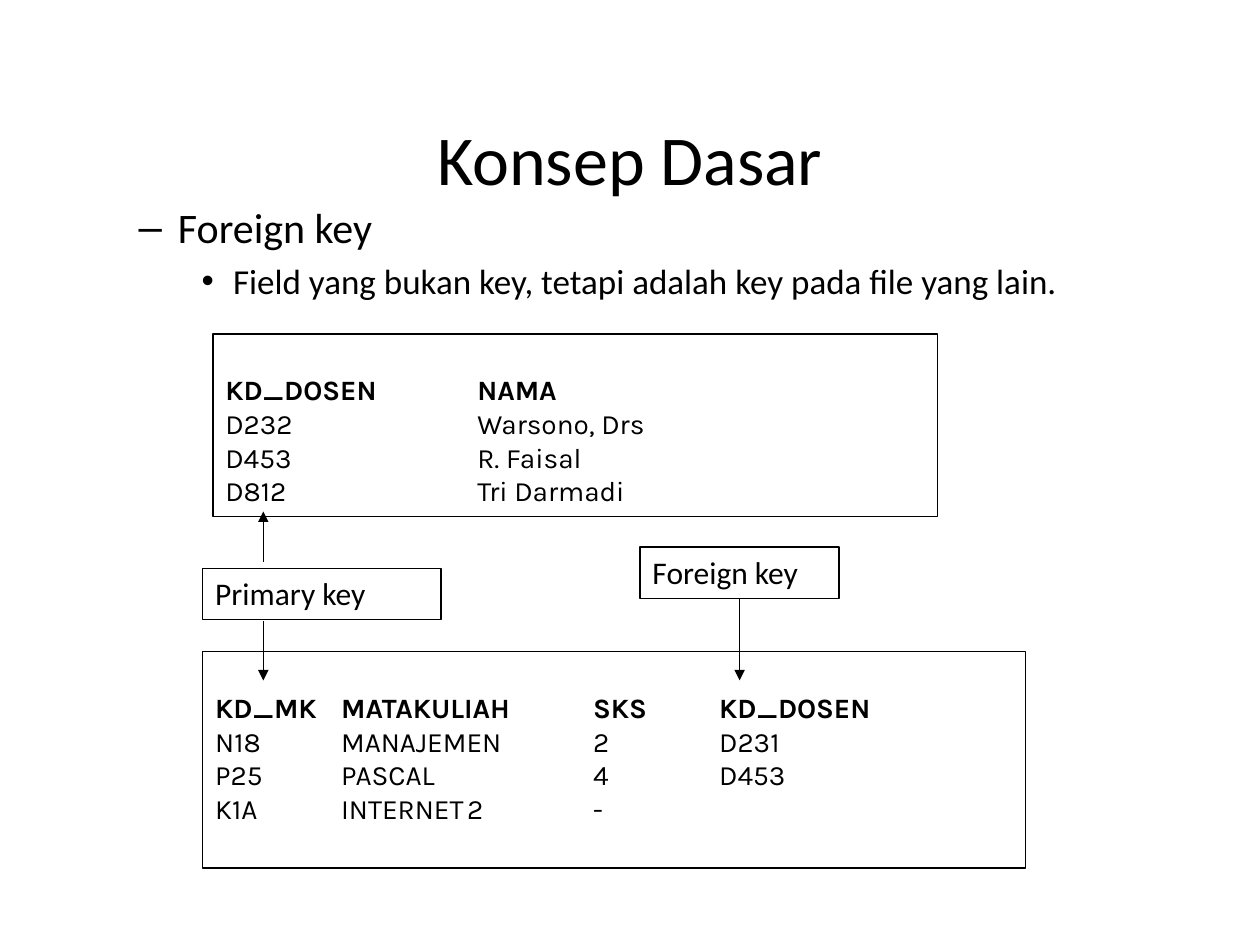
"""Builds the foreign key slide of a database lesson."""
import dataclasses

import lxml.etree
import pptx
import pptx.dml.color
import pptx.enum.shapes
import pptx.enum.text
import pptx.oxml.ns
import pptx.util

Inches = pptx.util.Inches
qn = pptx.oxml.ns.qn


@dataclasses.dataclass(frozen=True)
class Theme:
    """Colours, fonts and sizes of the slide."""
    ink: str = "000000"
    paper: str = "FFFFFF"
    text_font: str = "Calibri"
    record_font: str = "Karla"
    title_size: int = 40
    topic_size: int = 24
    detail_size: int = 20
    label_size: int = 18
    record_size: int = 16
    line_width: float = 0.75


THEME = Theme()


def color(value):
    """Turn a hex string into a colour."""
    return pptx.dml.color.RGBColor.from_string(value)


def write(para, text, size, font=THEME.text_font, bold=False, level=0, align=None, tabs=()):
    """Put formatted text into a paragraph with tab stops in inches."""
    para.level = level
    para.alignment = align
    if tabs:
        stops = lxml.etree.SubElement(para._p.get_or_add_pPr(), qn("a:tabLst"))
        for stop in tabs:
            lxml.etree.SubElement(stops, qn("a:tab"), pos=str(Inches(stop)), algn="l")
    span = para.add_run()
    span.text = text
    span.font.size = pptx.util.Pt(size)
    span.font.name = font
    span.font.bold = bold
    span.font.color.rgb = color(THEME.ink)


class Page:
    """Holds the theme and the current slide."""

    def __init__(self, deck, theme):
        """Add a title and content slide to the deck."""
        self.theme = theme
        self.slide = deck.slides.add_slide(deck.slide_layouts[1])

    def place(self, holder, left, top, width, height):
        """Move a placeholder."""
        holder.left, holder.top = Inches(left), Inches(top)
        holder.width, holder.height = Inches(width), Inches(height)
        return holder.text_frame

    def title(self, text, *area):
        """Fill the title placeholder."""
        frame = self.place(self.slide.shapes.title, *area)
        frame.vertical_anchor = pptx.enum.text.MSO_ANCHOR.MIDDLE
        write(frame.paragraphs[0], text, self.theme.title_size,
              align=pptx.enum.text.PP_ALIGN.CENTER)

    def body(self, topic, detail, *area):
        """Fill the body placeholder with a topic and its detail."""
        frame = self.place(self.slide.placeholders[1], *area)
        write(frame.paragraphs[0], topic, self.theme.topic_size, level=1)
        write(frame.add_paragraph(), detail, self.theme.detail_size, level=2)

    def box(self, left, top, width, height, filled=False):
        """Add an outlined rectangle with top left text."""
        box = self.slide.shapes.add_shape(
            pptx.enum.shapes.MSO_SHAPE.RECTANGLE,
            Inches(left), Inches(top), Inches(width), Inches(height))
        box.shadow.inherit = False
        if filled:
            box.fill.solid()
            box.fill.fore_color.rgb = color(self.theme.paper)
        else:
            box.fill.background()
        box.line.color.rgb = color(self.theme.ink)
        box.line.width = pptx.util.Pt(self.theme.line_width)
        box.text_frame.word_wrap = True
        box.text_frame.vertical_anchor = pptx.enum.text.MSO_ANCHOR.TOP
        return box

    def label(self, text, *area):
        """Add a box that names a key."""
        box = self.box(*area)
        write(box.text_frame.paragraphs[0], text, self.theme.label_size,
              align=pptx.enum.text.PP_ALIGN.LEFT)
        return box

    def records(self, lines, *area):
        """Add a box of tabbed records under a bold header."""
        frame = self.box(*area, filled=True).text_frame
        frame.margin_top = Inches(0.31)
        for index, line in enumerate(lines):
            para = frame.add_paragraph() if index else frame.paragraphs[0]
            write(para, line, self.theme.record_size, font=self.theme.record_font,
                  bold=index == 0, align=pptx.enum.text.PP_ALIGN.LEFT, tabs=range(1, 5))

    def arrow(self, across, start, end, source=None):
        """Add a vertical arrow, joined to the bottom of its source if given."""
        arrow = self.slide.shapes.add_connector(
            pptx.enum.shapes.MSO_CONNECTOR.STRAIGHT,
            Inches(across), Inches(start), Inches(across), Inches(end))
        if source is not None:
            arrow.begin_connect(source, 2)
        arrow.line.color.rgb = color(self.theme.ink)
        arrow.line.width = pptx.util.Pt(self.theme.line_width)
        properties = arrow.element.spPr
        lxml.etree.SubElement(properties.find(qn("a:ln")), qn("a:tailEnd"), type="triangle")
        lxml.etree.SubElement(properties, qn("a:effectLst"))


def main():
    """Build and save the deck."""
    deck = pptx.Presentation()
    deck.slide_width, deck.slide_height = Inches(10), Inches(7.5)
    page = Page(deck, THEME)
    page.title("Konsep Dasar", 0.5, 0.5, 9, 1.5)
    page.body("Foreign key", "Field yang bukan key, tetapi adalah key pada file yang lain.",
              0.5, 1.55, 9.23, 5.16)
    page.records(["KD_MK\tMATAKULIAH\tSKS\tKD_DOSEN", "N18\tMANAJEMEN\t2\tD231",
                  "P25\tPASCAL\t\t4\tD453", "K1A\tINTERNET\t2\t-"],
                 1.61, 5.17, 6.53, 1.72)
    page.records(["KD_DOSEN\tNAMA", "D232\t\tWarsono, Drs",
                  "D453\t\tR. Faisal", "D812\t\tTri Darmadi"],
                 1.69, 2.65, 5.75, 1.45)
    page.label("Primary key", 1.61, 4.51, 1.89, 0.41)
    foreign = page.label("Foreign key", 5.08, 4.34, 1.58, 0.41)
    page.arrow(2.09, 4.46, 4.06)
    page.arrow(2.09, 4.93, 5.4)
    page.arrow(5.87, 4.75, 5.4, source=foreign)
    deck.save("out.pptx")


if __name__ == "__main__":
    main()
